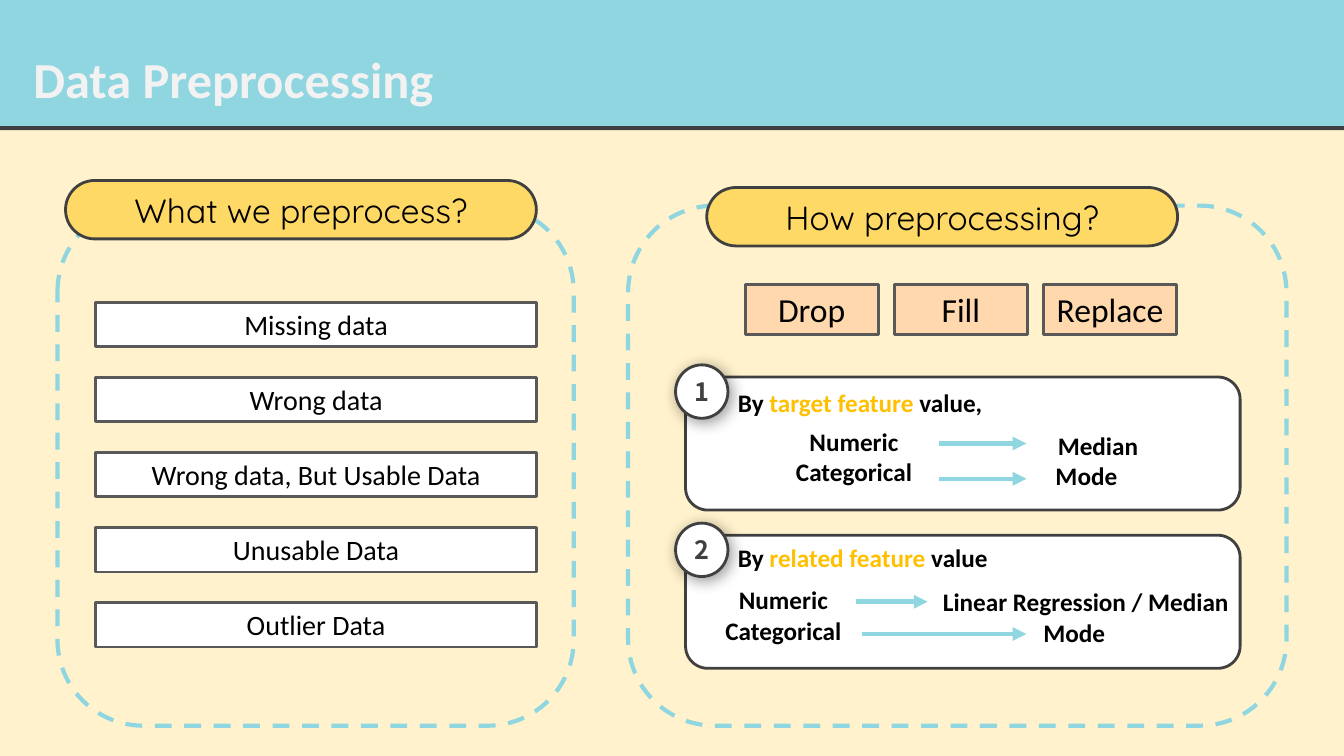
from lxml import etree
from pptx import Presentation
from pptx.dml.color import RGBColor
from pptx.enum.dml import MSO_LINE
from pptx.enum.shapes import MSO_CONNECTOR, MSO_SHAPE as SHAPE
from pptx.enum.text import MSO_ANCHOR as ANCHOR, MSO_AUTO_SIZE as AUTO, PP_ALIGN as ALIGN
from pptx.oxml.ns import qn
from pptx.util import Inches, Pt

COLORS = {
    "cream": "FFF2CC", "aqua": "90D6E0", "yellow": "FFD966", "peach": "FFD9AD",
    "white": "FFFFFF", "pale": "F2F2F2", "black": "000000", "dark": "404040",
    "gray": "595959", "gold": "FFC000",
}


def rgb(name):
    return RGBColor.from_string(COLORS[name])


def write(box, lines, size=18, font="Calibri", color="black", bold=False,
          align=ALIGN.CENTER, anchor=ANCHOR.TOP, wrap=True, grow=False, indents=()):
    """Fill a box; each line is a string or a list of (text, colour) pairs."""
    frame = box.text_frame
    frame.word_wrap = wrap
    frame.vertical_anchor = anchor
    frame.auto_size = AUTO.SHAPE_TO_FIT_TEXT if grow else AUTO.NONE
    for index, line in enumerate(lines):
        para = frame.paragraphs[0] if index == 0 else frame.add_paragraph()
        para.alignment = align
        if index < len(indents):
            para._p.get_or_add_pPr().set("marL", str(Inches(indents[index])))
        pairs = [(line, color)] if isinstance(line, str) else line
        for text, tint in pairs:
            span = para.add_run()
            span.text = text
            span.font.size = Pt(size)
            span.font.name = font
            span.font.bold = bold
            span.font.color.rgb = rgb(tint)


def add_shadow(box, color, alpha, blur, distance, angle):
    """Cast an outer shadow; lengths in points, alpha in percent."""
    box.shadow.inherit = False
    effects = box._element.spPr.find(qn("a:effectLst"))
    shadow = etree.SubElement(effects, qn("a:outerShdw"), blurRad=str(Pt(blur)),
                              dist=str(Pt(distance)), dir=str(angle * 60000),
                              algn="t", rotWithShape="0")
    tint = etree.SubElement(shadow, qn("a:srgbClr"), val=COLORS[color])
    etree.SubElement(tint, qn("a:alpha"), val=str(alpha * 1000))


class SlideBuilder:
    def __init__(self, deck):
        self.slide = deck.slides.add_slide(deck.slide_layouts[5])
        background = self.slide.background.fill
        background.solid()
        background.fore_color.rgb = rgb("cream")

    def title(self, text):
        box = self.slide.shapes.title
        box.left, box.top, box.width, box.height = map(Inches, (0, 0, 13.33, 1.25))
        box.fill.solid()
        box.fill.fore_color.rgb = rgb("aqua")
        add_shadow(box, "dark", 100, 0, 3, 90)
        write(box, [text], size=36, color="pale", bold=True,
              align=ALIGN.LEFT, anchor=ANCHOR.MIDDLE)
        box.text_frame.margin_left = Inches(0.33)
        box.text_frame.paragraphs[0].line_spacing = 1.5

    def shape(self, kind, left, top, width, height, fill=None, line="dark", weight=2):
        box = self.slide.shapes.add_shape(kind, *map(Inches, (left, top, width, height)))
        box.shadow.inherit = False
        if fill:
            box.fill.solid()
            box.fill.fore_color.rgb = rgb(fill)
        else:
            box.fill.background()
        box.line.color.rgb = rgb(line)
        box.line.width = Pt(weight)
        return box

    def dashed_panel(self, left, width):
        panel = self.shape(SHAPE.ROUNDED_RECTANGLE, left, 2.04, width, 5.16,
                           line="aqua", weight=3)
        panel.line.dash_style = MSO_LINE.DASH

    def heading(self, text, left, top):
        pill = self.shape(SHAPE.ROUNDED_RECTANGLE, left, top, 4.67, 0.58, "yellow")
        pill.adjustments[0] = 0.5
        write(pill, [text], size=24, font="Quicksand", anchor=ANCHOR.MIDDLE)

    def label(self, text, left, top, width, height, fill, size):
        box = self.shape(SHAPE.RECTANGLE, left, top, width, height, fill, "gray")
        write(box, [text], size=size, grow=True)

    def card(self, top):
        self.shape(SHAPE.ROUNDED_RECTANGLE, 6.8, top, 5.5, 1.32, "white")

    def badge(self, number, top):
        circle = self.shape(SHAPE.OVAL, 6.7, top, 0.52, 0.53, "white")
        add_shadow(circle, "black", 40, 11, 3, 45)
        write(circle, [str(number)], font="Noto Sans CJK KR", color="dark",
              bold=True, anchor=ANCHOR.MIDDLE)

    def text(self, lines, left, top, width, height, **style):
        box = self.slide.shapes.add_textbox(*map(Inches, (left, top, width, height)))
        write(box, lines, bold=True, grow=True, **style)

    def arrow(self, start, end, y):
        line = self.slide.shapes.add_connector(
            MSO_CONNECTOR.STRAIGHT, *map(Inches, (start, y, end, y)))
        line.line.color.rgb = rgb("aqua")
        line.line.width = Pt(3.25)
        etree.SubElement(line.line._get_or_add_ln(), qn("a:tailEnd"), type="triangle")
        etree.SubElement(line._element.spPr, qn("a:effectLst"))


def main():
    deck = Presentation()
    deck.slide_width, deck.slide_height = Inches(13.33), Inches(7.5)
    page = SlideBuilder(deck)
    page.title("Data Preprocessing")

    page.dashed_panel(6.23, 6.53)
    page.dashed_panel(0.57, 5.12)
    page.heading("What we preprocess?", 0.65, 1.79)
    page.heading("How preprocessing?", 7.01, 1.86)

    problems = ["Missing data", "Wrong data", "Wrong data, But Usable Data",
                "Unusable Data", "Outlier Data"]
    for row, problem in enumerate(problems):
        page.label(problem, 0.95, 3 + 0.745 * row, 4.37, 0.44, "white", 20)
    for column, method in enumerate(["Drop", "Fill", "Replace"]):
        page.label(method, 7.39 + 1.48 * column, 2.82, 1.32, 0.5, "peach", 24)

    # Lead: feature, ending, top. Places: left, top, width. Arrows: start, end, y.
    cards = [
        (3.74, 3.62, ("target feature", " value,", 3.79), (7.78, 4.18),
         ("Median", 9.99, 4.22, 1.57), [(9.31, 10.18, 4.4), (9.31, 10.18, 4.75)]),
        (5.31, 5.19, ("related feature", " value", 5.33), (7.08, 5.75),
         ("Linear Regression / Median", 8.95, 5.77, 3.41),
         [(8.49, 9.2, 5.97), (8.55, 10.18, 6.29)]),
    ]
    for number, (top, badge_top, lead, types, result, arrows) in enumerate(cards, 1):
        feature, ending, lead_top = lead
        numeric_fill, left, result_top, width = result
        page.card(top)
        page.text([[("By ", "black"), (feature, "gold"), (ending, "black")]],
                  7.22, lead_top, 2.75, 0.4, align=ALIGN.LEFT, wrap=False)
        page.text(["Numeric", "Categorical"], *types, 1.38, 0.71, wrap=False)
        page.text([numeric_fill, "Mode"], left, result_top, width, 0.71, indents=[0.23])
        for arrow in arrows:
            page.arrow(*arrow)
        page.badge(number, badge_top)

    deck.save("out.pptx")


if __name__ == "__main__":
    main()
